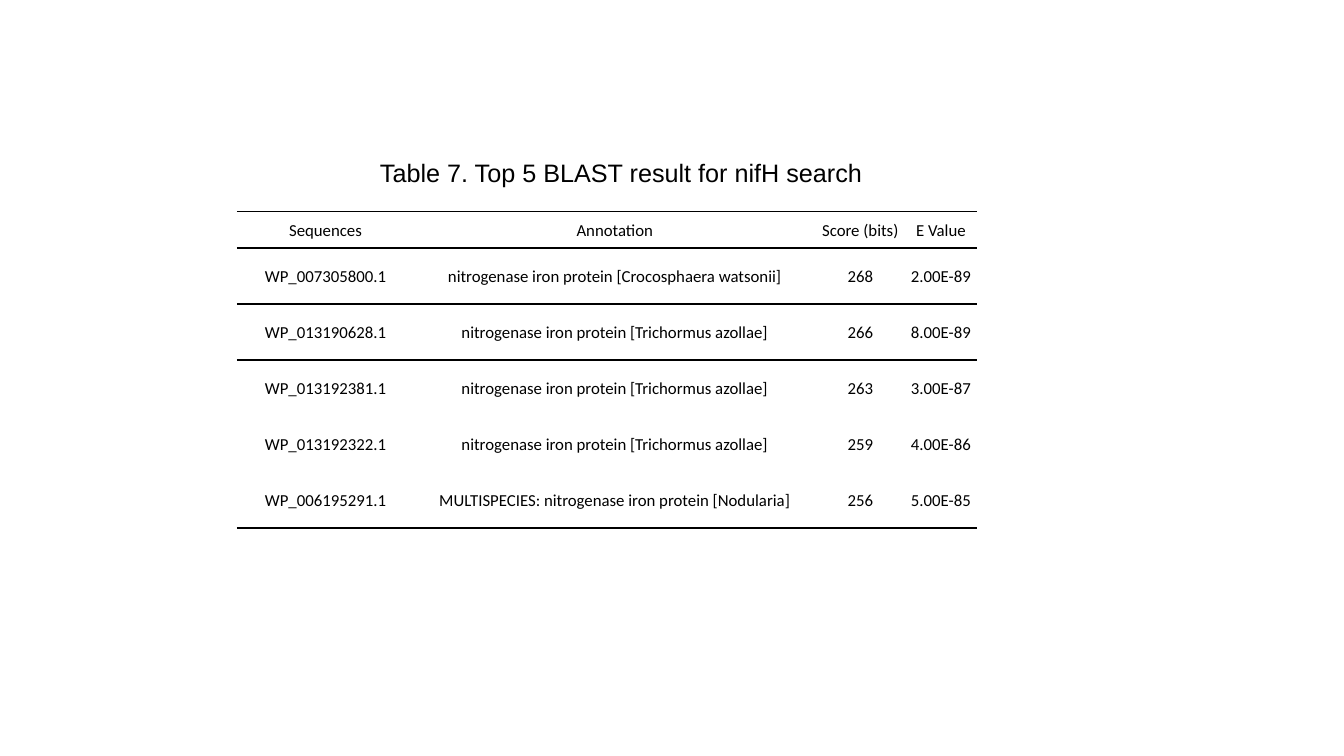
from typing import NamedTuple

from lxml import etree
from pptx import Presentation
from pptx.dml.color import RGBColor
from pptx.enum.text import MSO_ANCHOR, MSO_AUTO_SIZE, PP_ALIGN
from pptx.oxml.ns import qn
from pptx.util import Pt

BLACK = RGBColor(0, 0, 0)
LEFT, CENTER = PP_ALIGN.LEFT, PP_ALIGN.CENTER
TOP, MIDDLE = MSO_ANCHOR.TOP, MSO_ANCHOR.MIDDLE
NO_FIT = MSO_AUTO_SIZE.NONE
PLAIN = "{2D5ABB26-0587-4C30-8999-92F81FD0307C}"  # no style, no grid

WIDTHS = (126.7, 286.6, 64.1, 51.1)
HEAD, ROW = 26, 40
INSET = 0.7


class Hit(NamedTuple):
    name: str
    note: str
    score: str
    value: str


HITS = (
    Hit("Sequences", "Annotation", "Score (bits)", "E Value"),
    Hit("WP_007305800.1", "nitrogenase iron protein [Crocosphaera watsonii]", "268", "2.00E-89"),
    Hit("WP_013190628.1", "nitrogenase iron protein [Trichormus azollae]", "266", "8.00E-89"),
    Hit("WP_013192381.1", "nitrogenase iron protein [Trichormus azollae]", "263", "3.00E-87"),
    Hit("WP_013192322.1", "nitrogenase iron protein [Trichormus azollae]", "259", "4.00E-86"),
    Hit("WP_006195291.1", "MULTISPECIES: nitrogenase iron protein [Nodularia]", "256", "5.00E-85"),
)
LAST = len(HITS) - 1
RULED = (0, 1, LAST)  # rows with a line below


def style(par, font: str, size: float, align) -> None:
    par.alignment = align
    par.font.name = font
    par.font.size = Pt(size)
    par.font.color.rgb = BLACK


def rule(cell, side: str) -> None:
    """Draw a one-point black line on a cell's side."""
    line = etree.SubElement(cell._tc.get_or_add_tcPr(), qn(f"a:{side}"), w=str(Pt(1)))
    fill = etree.SubElement(line, qn("a:solidFill"))
    etree.SubElement(fill, qn("a:srgbClr"), val=str(BLACK))


def add_title(slide, text: str) -> None:
    title = slide.shapes.title
    title.left, title.top = Pt(264.2), Pt(108.7)
    title.width, title.height = Pt(480), Pt(29)
    frame = title.text_frame
    frame.text = text
    frame.word_wrap = True
    frame.auto_size = NO_FIT
    frame.vertical_anchor = TOP
    style(frame.paragraphs[0], "Arial", 18, LEFT)


def fill_cell(cell, text: str, row: int) -> None:
    cell.text = text
    cell.vertical_anchor = MIDDLE
    cell.margin_left = cell.margin_right = cell.margin_top = Pt(INSET)
    cell.margin_bottom = 0
    style(cell.text_frame.paragraphs[0], "Calibri", 12, CENTER)
    if row == 0 or row - 1 in RULED:
        rule(cell, "lnT")
    if row in RULED:
        rule(cell, "lnB")
    cell.fill.background()


def add_hits(slide) -> None:
    frame = slide.shapes.add_table(
        len(HITS), len(WIDTHS), Pt(169.2), Pt(151.2),
        Pt(sum(WIDTHS)), Pt(HEAD + ROW * LAST))
    table = frame.table
    table.horz_banding = False
    table._tbl.tblPr.find(qn("a:tableStyleId")).text = PLAIN
    for col, width in zip(table.columns, WIDTHS):
        col.width = Pt(width)
    for r, hit in enumerate(HITS):
        table.rows[r].height = Pt(ROW if r else HEAD)
        for c, text in enumerate(hit):
            fill_cell(table.cell(r, c), text, r)


def main() -> None:
    deck = Presentation()
    deck.slide_width, deck.slide_height = Pt(960), Pt(540)
    slide = deck.slides.add_slide(deck.slide_layouts[5])
    add_title(slide, "Table 7. Top 5 BLAST result for nifH search")
    add_hits(slide)
    deck.save("out.pptx")


if __name__ == "__main__":
    main()
